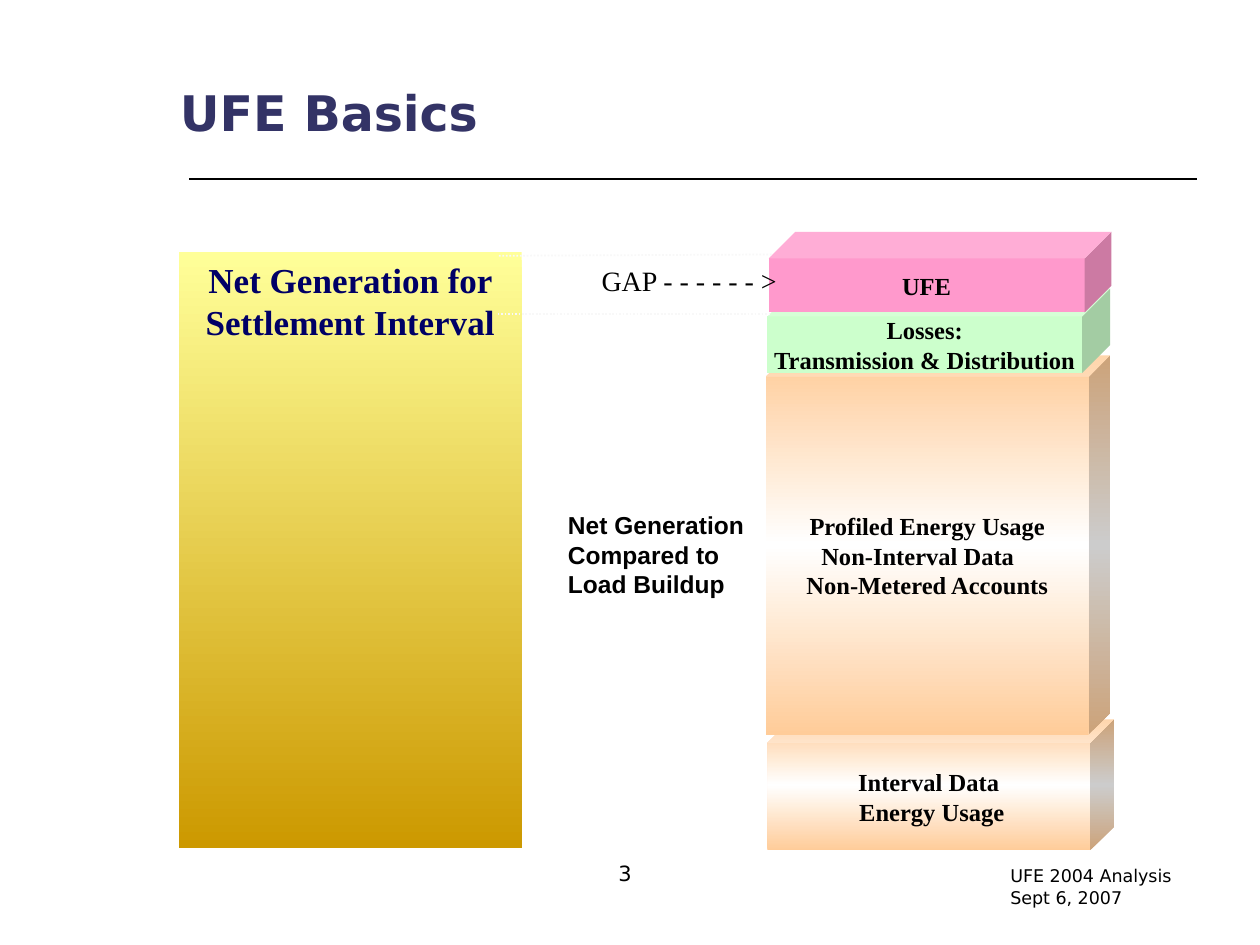
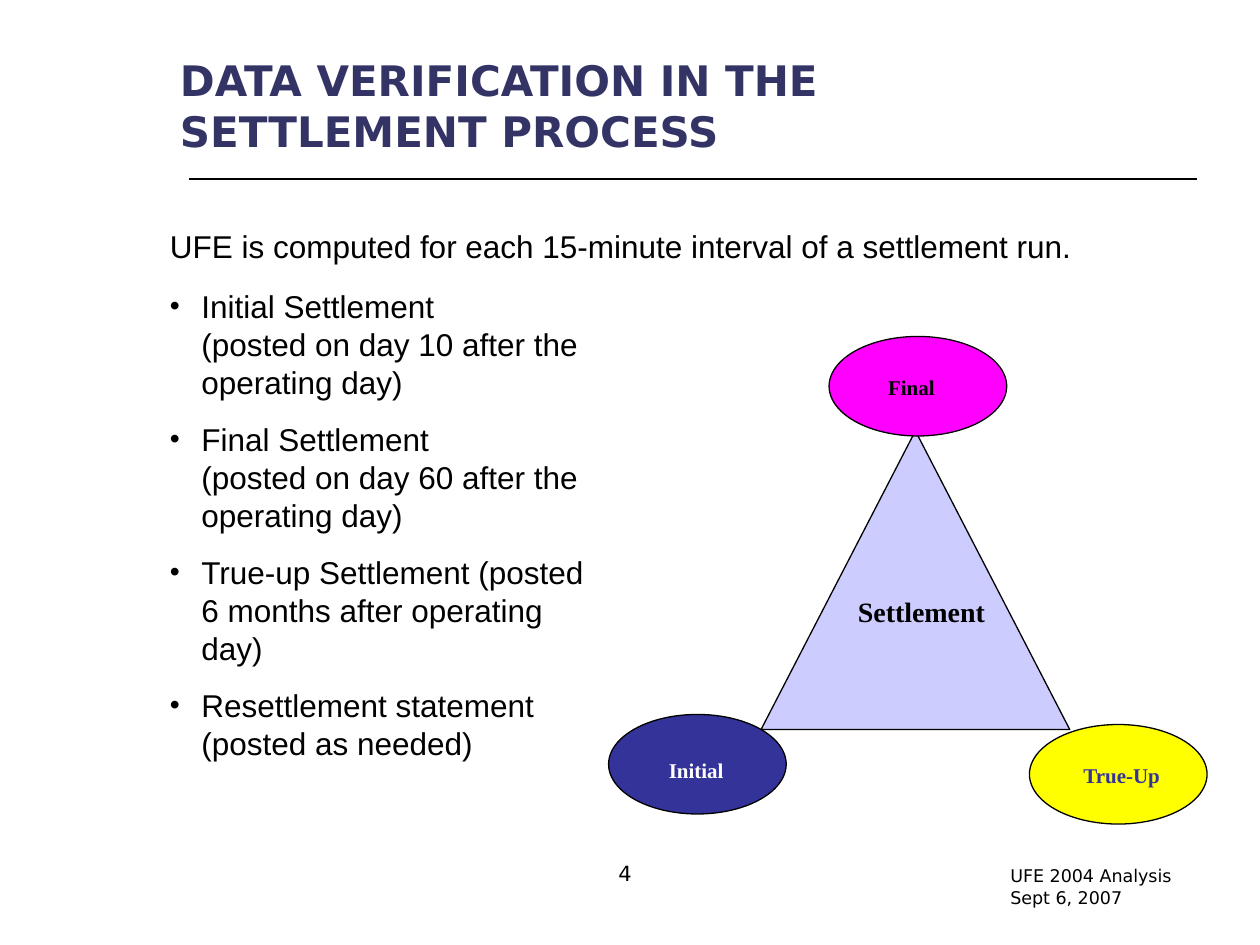
"""Build two slides on unaccounted-for energy (UFE) and the settlement process."""
from dataclasses import dataclass

from lxml.etree import SubElement
from pptx import Presentation
from pptx.dml.color import RGBColor
from pptx.enum.dml import MSO_LINE
from pptx.enum.shapes import MSO_CONNECTOR, MSO_SHAPE
from pptx.enum.text import MSO_ANCHOR as Anchor, PP_ALIGN as Align
from pptx.oxml.ns import qn
from pptx.util import Inches, Pt


@dataclass(frozen=True)
class Theme:
    black: str = "000000"
    white: str = "FFFFFF"
    title: str = "333366"
    heading: str = "000066"
    generation: tuple = ("FFFF99", "CC9900")
    usage: tuple = ("FFCC99", "FFFFFF", "FFCC99")
    losses: str = "CCFFCC"
    gap: str = "FF99CC"
    guide: str = "F8F8F8"
    triangle: str = "CCCCFF"
    initial: str = "333399"
    true_up: str = "FFFF00"
    final: str = "FF00FF"
    display: str = "DejaVu Sans"
    sans: str = "Arial"
    serif: str = "Times New Roman"
    title_size: int = 28
    long_title_size: int = 24
    heading_size: int = 20
    body_size: int = 18
    label_size: int = 16
    block_size: int = 14
    small_size: int = 12
    footer_size: int = 10


class SlideBuilder:
    def __init__(self, deck, theme):
        self.deck, self.theme, self.page = deck, theme, None

    def start(self, number, title, size, title_area, anchor):
        theme = self.theme
        self.page = self.deck.slides.add_slide(self.deck.slide_layouts[6])
        self.line((1.5, 1.42), (9.5, 1.42), theme.black)
        self.text((7.92, 6.82, 1.58, 0.44), ["UFE 2004 Analysis", "Sept 6, 2007"],
                  theme.footer_size, theme.display)
        self.text(title_area, [title], size, theme.display, theme.title, bold=True,
                  anchor=anchor)
        self.text((4.42, 6.75, 1.08, 0.33), [str(number)], theme.small_size,
                  theme.display, align=Align.CENTER, anchor=Anchor.BOTTOM)

    def line(self, begin, end, color, dash=None):
        points = [Inches(value) for value in (*begin, *end)]
        connector = self.page.shapes.add_connector(MSO_CONNECTOR.STRAIGHT, *points)
        connector.line.color.rgb = RGBColor.from_string(color)
        connector.line.width = Pt(1)
        if dash:
            connector.line.dash_style = dash
        SubElement(connector._element.spPr, qn("a:effectLst"))

    def shape(self, kind, area, fill, outline=None, adjustment=None):
        shape = self.page.shapes.add_shape(kind, *map(Inches, area))
        shape.shadow.inherit = False
        if adjustment is not None:
            shape.adjustments[0] = adjustment
        if isinstance(fill, tuple):
            self.gradient(shape, fill)
        else:
            shape.fill.solid()
            shape.fill.fore_color.rgb = RGBColor.from_string(fill)
        if outline:
            shape.line.color.rgb = RGBColor.from_string(outline)
            shape.line.width = Pt(0.75)
        else:
            shape.line.fill.background()
        return shape

    def gradient(self, shape, colors):
        shape.fill.gradient()
        shape.fill.gradient_angle = 270
        stops = shape._element.spPr.find(qn("a:gradFill")).find(qn("a:gsLst"))
        stops.clear()
        for index, color in enumerate(colors):
            position = 100000 * index // (len(colors) - 1)
            stop = SubElement(stops, qn("a:gs"), pos=str(position))
            SubElement(stop, qn("a:srgbClr"), val=color)

    def text(self, area, lines, size, font, color=None, **style):
        box = self.page.shapes.add_textbox(*map(Inches, area))
        self.set_text(box, lines, size, font, color, **style)

    def set_text(self, box, lines, size, font, color=None, bold=False, align=Align.LEFT,
                 anchor=Anchor.TOP, wrap=True, side=0.1, bullet=False, gap=0):
        frame = box.text_frame
        frame.word_wrap = wrap
        frame.vertical_anchor = anchor
        frame.margin_left = frame.margin_right = Inches(side)
        frame.margin_top = frame.margin_bottom = Inches(0.05)
        for index, line in enumerate(lines):
            para = frame.paragraphs[0] if index == 0 else frame.add_paragraph()
            para.text = line
            para.alignment = align
            if index and gap:
                para.space_before = Pt(gap)
            if bullet:
                self.bullet(para)
            para.font.size = Pt(size)
            para.font.name = font
            para.font.bold = bold
            para.font.color.rgb = RGBColor.from_string(color or self.theme.black)

    def bullet(self, para):
        self.indent(para, 0.25, -0.25)
        properties = para._p.get_or_add_pPr()
        SubElement(properties, qn("a:buSzPct"), val="90000")
        SubElement(properties, qn("a:buFont"), typeface=self.theme.sans)
        SubElement(properties, qn("a:buChar"), char="•")

    def indent(self, para, left, first=0):
        properties = para._p.get_or_add_pPr()
        properties.set("marL", str(Inches(left)))
        properties.set("indent", str(Inches(first)))

    def cube(self, area, depth, fill, lines, side):
        cube = self.shape(MSO_SHAPE.CUBE, area, fill, adjustment=depth)
        self.set_text(cube, lines, self.theme.block_size, self.theme.serif, bold=True,
                      align=Align.CENTER, anchor=Anchor.MIDDLE, side=side)
        return cube.text_frame.paragraphs


def build_basics(slide):
    theme = slide.theme
    slide.start(3, "UFE Basics", theme.title_size, (1.33, 0.58, 4.89, 0.59), Anchor.BOTTOM)
    generation = slide.shape(MSO_SHAPE.RECTANGLE, (1.42, 2, 2.72, 4.73), theme.generation)
    slide.set_text(generation, ["Net Generation for Settlement Interval"],
                   theme.heading_size, theme.serif, theme.heading, bold=True,
                   align=Align.CENTER, side=0.05)

    interval = slide.cube((6.09, 5.71, 2.75, 1.04), 0.182, theme.usage,
                          ["Interval Data", "Energy Usage"], 0.1)
    slide.indent(interval[1], 0.05)
    profiled = slide.cube((6.08, 2.82, 2.73, 3.01), 0.062, theme.usage,
                          ["Profiled Energy Usage", "Non-Interval Data",
                           "Non-Metered Accounts"], 0.1)
    profiled[1].alignment = Align.LEFT
    slide.indent(profiled[1], 0.34)
    slide.cube((6.09, 2.29, 2.72, 0.67), 0.331, theme.losses,
               ["Losses:", "Transmission & Distribution"], 0.05)
    slide.cube((6.1, 1.84, 2.72, 0.64), 0.331, theme.gap, ["UFE"], 0.05)

    slide.line((3.95, 2.49), (6.1, 2.49), theme.guide, MSO_LINE.ROUND_DOT)
    slide.line((3.96, 2.03), (6.13, 2.02), theme.guide, MSO_LINE.ROUND_DOT)
    slide.text((4.67, 2.04, 1.6, 0.37), ["GAP - - - - - - >"], theme.label_size,
               theme.serif, align=Align.CENTER, anchor=Anchor.MIDDLE, wrap=False)
    slide.text((4.41, 4, 1.6, 0.8), ["Net Generation", "Compared to", "Load Buildup"],
               theme.block_size, theme.sans, bold=True, wrap=False)


def build_verification(slide):
    theme = slide.theme
    slide.start(4, "DATA VERIFICATION IN THE SETTLEMENT PROCESS", theme.long_title_size,
                (1.33, 0.52, 5.93, 0.63), Anchor.MIDDLE)
    slide.text((1.25, 1.75, 7.92, 0.5),
               ["UFE is computed for each 15-minute interval of a settlement run."],
               theme.body_size, theme.sans)

    slide.shape(MSO_SHAPE.ISOSCELES_TRIANGLE, (6.04, 3.42, 2.45, 2.37), theme.triangle,
                theme.black)
    slide.text((6.71, 4.67, 1.29, 0.5), ["Settlement"], theme.label_size, theme.serif,
               bold=True)
    stages = [
        ("Initial", (4.83, 5.67), theme.initial, (5.21, 5.96), theme.white),
        ("True-Up", (8.17, 5.75), theme.true_up, (8.5, 6), theme.initial),
        ("Final", (6.58, 2.67), theme.final, (6.95, 2.92), theme.black),
    ]
    for name, corner, fill, label_corner, color in stages:
        slide.shape(MSO_SHAPE.OVAL, (*corner, 1.41, 0.79), fill, theme.black)
        slide.text((*label_corner, 1.12, 0.31), [name], theme.small_size, theme.serif,
                   color, bold=True)

    slide.text((1.25, 2.23, 3.67, 3.87),
               ["Initial Settlement\v(posted on day 10 after the operating day)",
                "Final Settlement\v(posted on day 60 after the operating day)",
                "True-up Settlement (posted 6 months after operating day)",
                "Resettlement statement (posted as needed)"],
               theme.body_size, theme.sans, bullet=True, gap=11.2)


def main():
    deck = Presentation()
    deck.slide_width, deck.slide_height = Inches(10), Inches(7.5)
    slide = SlideBuilder(deck, Theme())
    build_basics(slide)
    build_verification(slide)
    deck.save("out.pptx")


if __name__ == "__main__":
    main()
